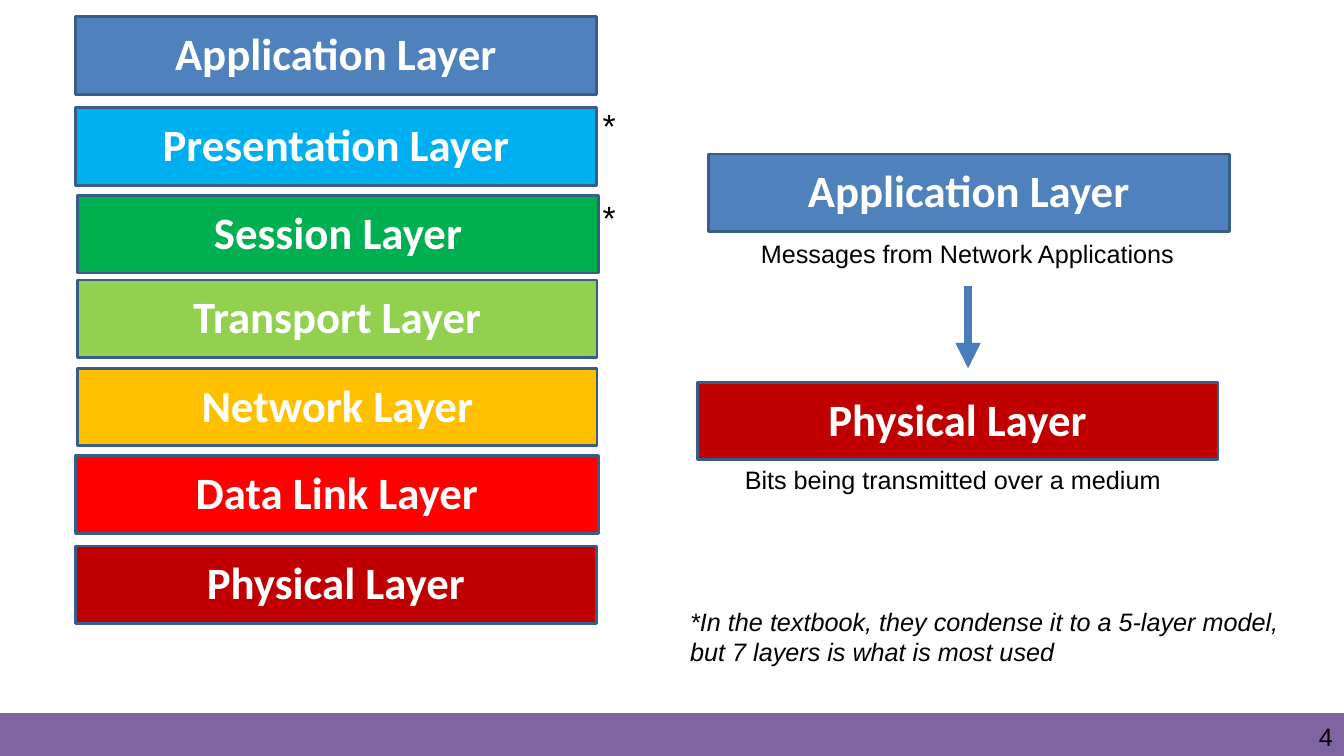
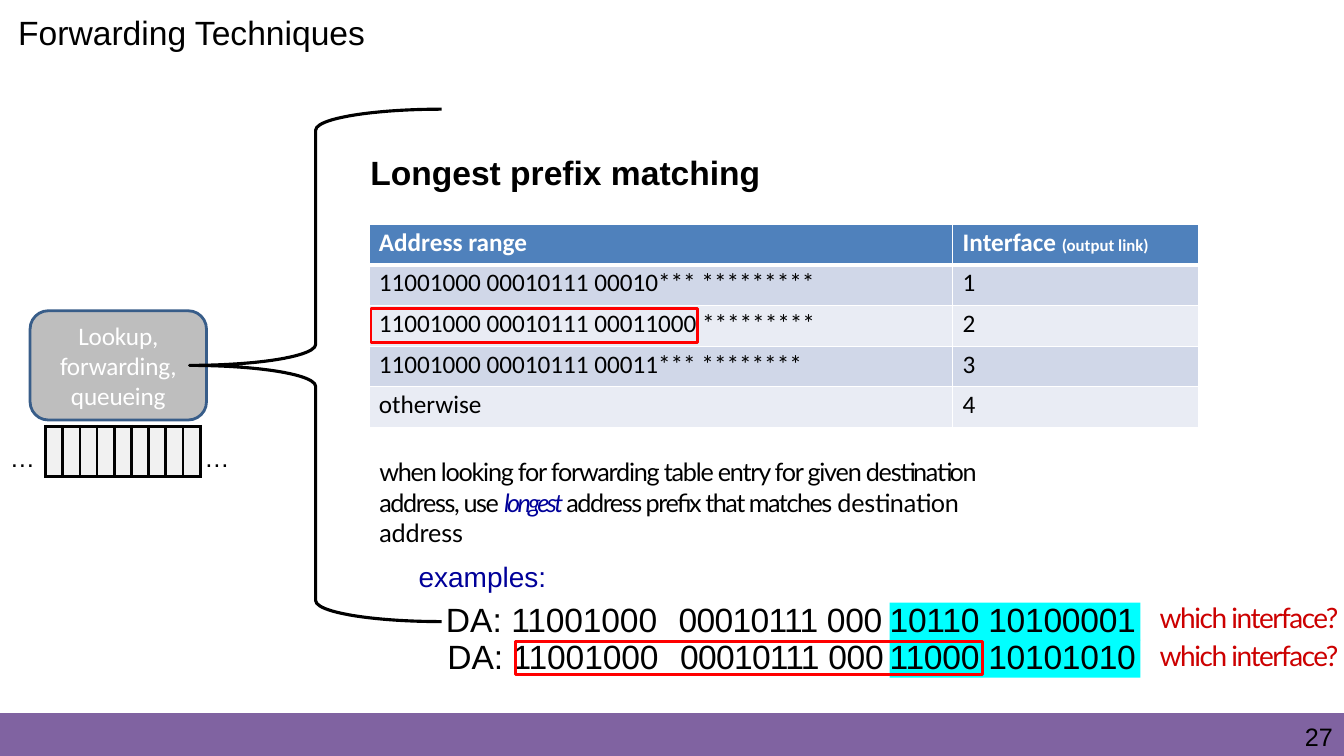
from dataclasses import dataclass
from typing import Optional

from lxml.etree import SubElement
from pptx import Presentation
from pptx.dml.color import RGBColor
from pptx.enum.shapes import MSO_CONNECTOR, MSO_SHAPE as SHAPE
from pptx.enum.text import MSO_ANCHOR as ANCHOR, PP_ALIGN as ALIGN
from pptx.oxml.ns import qn
from pptx.util import Pt

# Shared size, fonts and colours
SLIDE_W, SLIDE_H = 960, 540
BAND_H = 30
SANS, HUMANIST, ROUND = "Arial", "Calibri", "Lato"

BLACK = RGBColor(0x00, 0x00, 0x00)
WHITE = RGBColor(0xFF, 0xFF, 0xFF)
PURPLE = RGBColor(0x80, 0x63, 0xA1)
NAVY_LINE = RGBColor(0x38, 0x5D, 0x89)
BLUE = RGBColor(0x4F, 0x81, 0xBC)
ARROW_BLUE = RGBColor(0x49, 0x7D, 0xBA)
SKY = RGBColor(0x00, 0xAF, 0xEF)
GREEN = RGBColor(0x00, 0xAF, 0x50)
LIME = RGBColor(0x92, 0xD0, 0x50)
AMBER = RGBColor(0xFF, 0xC0, 0x00)
RED = RGBColor(0xFF, 0x00, 0x00)
DARK_RED = RGBColor(0xC0, 0x00, 0x00)
QUESTION_RED = RGBColor(0xCC, 0x00, 0x00)
INK_BLUE = RGBColor(0x00, 0x00, 0x99)
CYAN = RGBColor(0x00, 0xFF, 0xFF)
GREY = RGBColor(0xBE, 0xBE, 0xBE)
PALE_GREY = RGBColor(0xF1, 0xF1, 0xF1)
ROW_DARK = RGBColor(0xD0, 0xD7, 0xE8)
ROW_LIGHT = RGBColor(0xE9, 0xEC, 0xF4)


@dataclass
class Run:
    text: str
    size: Optional[float] = None
    color: Optional[RGBColor] = None
    italic: Optional[bool] = None
    spacing: Optional[float] = None


@dataclass
class Layer:
    name: str
    color: RGBColor
    left: float
    top: float
    width: float = 372


@dataclass
class Example:
    left: float
    top: float
    suffix: str
    suffix_top: float


# Text helpers
def add_text(p, text, *, size=18, font=SANS, color=BLACK, bold=False,
             italic=False, spacing=0, align=ALIGN.LEFT, line=None,
             before=None, indent=0, tab=None) -> None:
    """Fill a paragraph with a string or a list of runs."""
    pPr = p._p.get_or_add_pPr()
    p.alignment = align
    if line is not None:
        p.line_spacing = line
    if before is not None:
        p.space_before = Pt(before)
    if indent:
        pPr.set("marL", str(Pt(indent)))
    if tab is not None:
        stops = SubElement(pPr, qn("a:tabLst"))
        SubElement(stops, qn("a:tab"), pos=str(Pt(tab)), algn="l")
    for part in [Run(text)] if isinstance(text, str) else text:
        r = p.add_run()
        r.text = part.text
        r.font.name = font
        r.font.size = Pt(part.size or size)
        r.font.bold = bold
        r.font.italic = italic if part.italic is None else part.italic
        r.font.color.rgb = part.color or color
        gap = spacing if part.spacing is None else part.spacing
        if gap:
            r._r.get_or_add_rPr().set("spc", str(round(gap * 100)))


def set_insets(box, left=0.0, top=0.0, right=0.0, bottom=0.0) -> None:
    box.margin_left, box.margin_top = Pt(left), Pt(top)
    box.margin_right, box.margin_bottom = Pt(right), Pt(bottom)


def add_label(s, left, top, width, height, text, **fmt):
    """Add a text box without side insets and return its frame."""
    tf = s.shapes.add_textbox(Pt(left), Pt(top), Pt(width), Pt(height)).text_frame
    tf.word_wrap = True
    set_insets(tf, top=0.7)
    add_text(tf.paragraphs[0], text, **fmt)
    return tf


# Shape helpers
def add_box(s, left, top, width, height, *, kind=SHAPE.RECTANGLE,
            fill=None, line=None, weight=2.0):
    sp = s.shapes.add_shape(kind, Pt(left), Pt(top), Pt(width), Pt(height))
    sp.shadow.inherit = False
    if fill is None:
        sp.fill.background()
    else:
        sp.fill.solid()
        sp.fill.fore_color.rgb = fill
    if line is None:
        sp.line.fill.background()
    else:
        sp.line.color.rgb = line
        sp.line.width = Pt(weight)
    tf = sp.text_frame
    tf.word_wrap = True
    tf.vertical_anchor = ANCHOR.TOP
    set_insets(tf)
    return sp


def add_layer(s, layer: Layer) -> None:
    sp = add_box(s, layer.left, layer.top, layer.width, 55.5,
                 fill=layer.color, line=NAVY_LINE)
    set_insets(sp.text_frame, top=6.5)
    add_text(sp.text_frame.paragraphs[0], f"{layer.name} Layer", size=32,
             font=HUMANIST, color=WHITE, bold=True, align=ALIGN.CENTER)


def add_arrow(s, x, top, bottom, weight, color) -> None:
    c = s.shapes.add_connector(MSO_CONNECTOR.STRAIGHT,
                               Pt(x), Pt(top), Pt(x), Pt(bottom))
    c.line.color.rgb = color
    c.line.width = Pt(weight)
    SubElement(c.line._get_or_add_ln(), qn("a:tailEnd"),
               type="triangle", w="med", len="med")
    SubElement(c._element.spPr, qn("a:effectLst"))


# Table helpers
def style_cell(cell, fill: RGBColor, line: RGBColor, **weights: float) -> None:
    """Set the fill and the borders; weights are keyed L, R, T, B."""
    tcPr = cell._tc.get_or_add_tcPr()
    for side in "LRTB":
        ln = SubElement(tcPr, qn(f"a:ln{side}"), w=str(Pt(weights[side])))
        SubElement(SubElement(ln, qn("a:solidFill")), qn("a:srgbClr"), val=str(line))
    cell.fill.solid()
    cell.fill.fore_color.rgb = fill


def add_grid(s, left, top, widths, row_height, rows):
    table = s.shapes.add_table(rows, len(widths), Pt(left), Pt(top),
                               Pt(sum(widths)), Pt(row_height * rows)).table
    table.first_row = table.horz_banding = False
    for col, width in zip(table.columns, widths):
        col.width = Pt(width)
    for row in table.rows:
        row.height = Pt(row_height)
    return table


def new_slide(prs, number: int):
    """Blank slide with the bottom band and the page number."""
    s = prs.slides.add_slide(prs.slide_layouts[6])
    add_box(s, 0, SLIDE_H - BAND_H, SLIDE_W, BAND_H,
            fill=PURPLE, line=PURPLE, weight=1)
    add_label(s, 922, 514.5, 30, 22, str(number), align=ALIGN.RIGHT)
    return s


LAYERS = [
    Layer("Application", BLUE, 54, 12),
    Layer("Presentation", SKY, 54, 77),
    Layer("Session", GREEN, 55.5, 139.5),
    Layer("Transport", LIME, 55.5, 200, 371),
    Layer("Network", AMBER, 55.5, 263, 371),
    Layer("Data Link", RED, 54, 325.5, 373.5),
    Layer("Physical", DARK_RED, 54, 390),
    Layer("Application", BLUE, 506, 110),
    Layer("Physical", DARK_RED, 498, 273),
]

ROUTES = [
    ("11001000 00010111 00010*** *********", "1"),
    ("11001000 00010111 00011000 *********", "2"),
    ("11001000 00010111 00011*** ********", "3"),
    ("otherwise", "4"),
]

EXAMPLES = [
    Example(318.5, 427, "10110 10100001", 430.5),
    Example(319.5, 453.5, "11000 10101010", 457),
]


def build_layers(prs) -> None:
    s = new_slide(prs, 4)
    for layer in LAYERS:
        add_layer(s, layer)
    for top in (74, 140):
        add_label(s, 430.5, top, 14, 31, "*", size=24)

    # From messages down to bits
    add_label(s, 543.5, 169.5, 300, 24, "Messages from Network Applications")
    add_arrow(s, 691.5, 204, 263, 6, ARROW_BLUE)
    add_label(s, 532, 331, 302, 24, "Bits being transmitted over a medium")

    # Footnote
    tf = add_label(s, 493, 432.5, 430, 44,
                   "*In the textbook, they condense it to a 5-layer model,",
                   italic=True)
    add_text(tf.add_paragraph(), "but 7 layers is what is most used", italic=True)


def build_route_table(s) -> None:
    table = add_grid(s, 263.5, 160, (417, 175.5), 29.1, len(ROUTES) + 1)
    header = ("Address range", [Run("Interface "), Run("(output link)", size=12)])
    for i, row in enumerate([header, *ROUTES]):
        fill = BLUE if i == 0 else ROW_DARK if i % 2 else ROW_LIGHT
        for j, text in enumerate(row):
            cell = table.cell(i, j)
            set_insets(cell, left=7.2, top=2.2)
            add_text(cell.text_frame.paragraphs[0], text, font=HUMANIST,
                     color=BLACK if i else WHITE, bold=i == 0)
            style_cell(cell, fill, WHITE, L=1, R=1,
                       T=3 if i == 1 else 1, B=1 if i else 3)


def build_forwarding(prs) -> None:
    s = new_slide(prs, 27)
    add_label(s, 13, 8, 440, 35, "Forwarding Techniques", size=24)

    # Processing step and its queue
    step = add_box(s, 21.5, 222, 126, 78, kind=SHAPE.ROUNDED_RECTANGLE,
                   fill=GREY, line=NAVY_LINE)
    set_insets(step.text_frame, left=15, right=15)
    step.text_frame.vertical_anchor = ANCHOR.MIDDLE
    add_text(step.text_frame.paragraphs[0], "Lookup, forwarding, queueing",
             font=HUMANIST, color=WHITE, spacing=-0.1, align=ALIGN.CENTER)
    queue = add_grid(s, 32.5, 304.5, [12.3] * 9, 36, 1)
    for cell in queue.iter_cells():
        set_insets(cell)
        style_cell(cell, PALE_GREY, BLACK, L=2.25, R=2.25, T=2.25, B=2.25)
    for left in (7, 146):
        add_label(s, left, 315.5, 22, 24, "…")
    add_box(s, 135.5, 78, 180, 366, kind=SHAPE.LEFT_BRACE, line=BLACK, weight=2.25)

    # Matching rule
    add_label(s, 264.5, 108, 290, 31, "Longest prefix matching", size=24, bold=True)
    build_route_table(s)
    tf = add_label(s, 271, 325.5, 448, 99, [
        Run("when looking for forwarding table entry for given destination ",
            spacing=-0.87),
        Run("address, use ", spacing=-1),
        Run("longest ", color=INK_BLUE, italic=True, spacing=-1.9),
        Run("address prefix that matches ", spacing=-1.05),
        Run("destination address", spacing=-0.1),
    ], font=ROUND)
    add_text(tf.add_paragraph(), "examples:", size=20, color=INK_BLUE,
             before=8.7, indent=28)

    # Worked addresses
    for ex in EXAMPLES:
        add_label(s, ex.left, ex.top, 320, 31, [
            Run("DA: "), Run("11001000\t", spacing=-0.1),
            Run("00010111 ", spacing=-0.5), Run("000", spacing=-0.2),
        ], size=24, tab=166.3)
        sp = add_box(s, 635.5, ex.suffix_top, 179, 27, fill=CYAN)
        add_text(sp.text_frame.paragraphs[0], ex.suffix, size=24,
                 spacing=-0.2, line=Pt(26.2))
    question = dict(size=20, font=ROUND, color=QUESTION_RED, spacing=-1.07,
                    align=ALIGN.RIGHT, line=1.14)
    tf = add_label(s, 816, 425, 140, 57, "which interface?", **question)
    add_text(tf.add_paragraph(), "which interface?", **question)

    # Frames around the matching prefix
    for left, top, width in ((368, 458, 334), (265, 220.5, 233)):
        add_box(s, left, top, width, 24, line=RED)


def main() -> None:
    prs = Presentation()
    prs.slide_width, prs.slide_height = Pt(SLIDE_W), Pt(SLIDE_H)
    build_layers(prs)
    build_forwarding(prs)
    prs.save("out.pptx")


if __name__ == "__main__":
    main()
